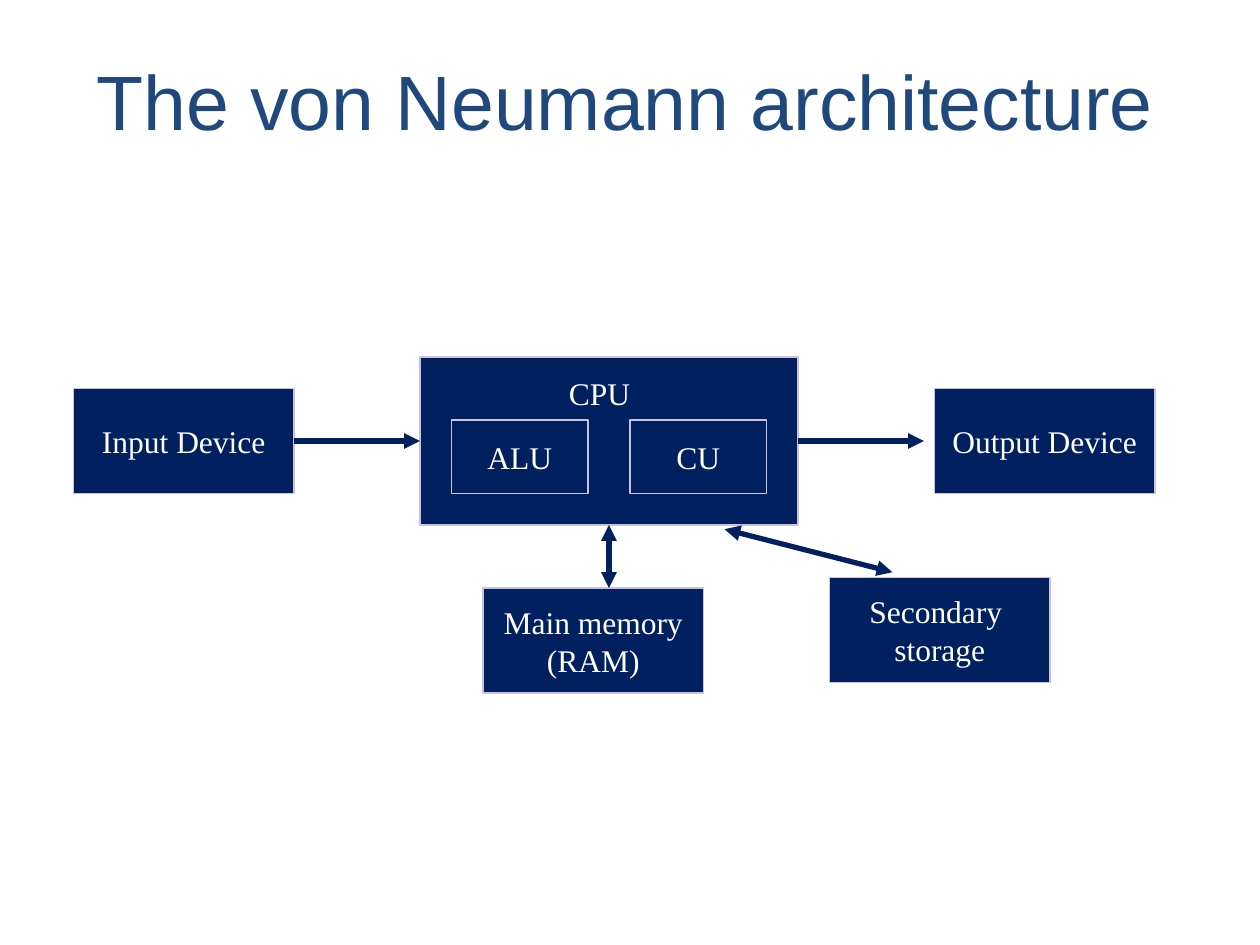
import pptx
import pptx.util
import pptx.dml.color
import pptx.enum.shapes
import pptx.enum.text
import pptx.oxml.ns
import lxml.etree

HUES = {"navy": "002060", "lilac": "CCC1DA", "blue": "1F497D", "white": "FFFFFF"}
RGB = pptx.dml.color.RGBColor.from_string
ALIGN = pptx.enum.text.PP_ALIGN
ANCHOR = pptx.enum.text.MSO_ANCHOR

deck = pptx.Presentation()
deck.slide_width = pptx.util.Inches(10)
deck.slide_height = pptx.util.Inches(7.5)
slide = deck.slides.add_slide(deck.slide_layouts[6])
COLS = 120
unit = deck.slide_width / COLS


def write(text, spot, fill=None, edge=None, size=18, font="Times New Roman",
          hue="white", align=ALIGN.CENTER, anchor=ANCHOR.MIDDLE, wrap=False):
    place = [round(n * unit) for n in spot]
    if fill:
        shape = slide.shapes.add_shape(
            pptx.enum.shapes.MSO_SHAPE.RECTANGLE, *place)
        shape.shadow.inherit = False
        shape.fill.solid()
        shape.fill.fore_color.rgb = RGB(HUES[fill])
        if edge:
            shape.line.color.rgb = RGB(HUES[edge])
            shape.line.width = pptx.util.Pt(0.75)
        else:
            shape.line.fill.background()
    else:
        shape = slide.shapes.add_textbox(*place)
    frame = shape.text_frame
    frame.word_wrap = wrap
    frame.vertical_anchor = anchor
    frame.text = text
    for para in frame.paragraphs:
        para.alignment = align
        para.font.size = pptx.util.Pt(size)
        para.font.name = font
        para.font.color.rgb = RGB(HUES[hue])


write("The von Neumann architecture", (8, 3, 107, 13), size=44, font="Arial",
      hue="blue", align=ALIGN.LEFT, wrap=True)

big = (21, 10)
small = (13, 7)
boxes = [
    ("", 40, 34, (36, 16)),
    ("Input Device", 7, 37, big),
    ("Output Device", 89, 37, big),
    ("ALU", 43, 40, small),
    ("CU", 60, 40, small),
    ("Main memory\n(RAM)", 46, 56, big),
    ("Secondary \nstorage", 79, 55, big),
]
for text, col, row, size in boxes:
    write(text, (col, row, *size), fill="navy", edge="lilac")
write("CPU", (53, 35, 8.2, 4.8), fill="navy", align=ALIGN.LEFT,
      anchor=ANCHOR.TOP)

links = [
    (28, 42, 40, 42, ["tailEnd"]),
    (76, 42, 88, 42, ["tailEnd"]),
    (58, 50, 58, 56, ["headEnd", "tailEnd"]),
    (69, 50.4, 85, 54.5, ["headEnd", "tailEnd"]),
]
for *ends, tips in links:
    link = slide.shapes.add_connector(
        pptx.enum.shapes.MSO_CONNECTOR.STRAIGHT, *[round(n * unit) for n in ends])
    link.line.color.rgb = RGB(HUES["navy"])
    link.line.width = pptx.util.Pt(3)
    for tip in tips:
        lxml.etree.SubElement(link.line._get_or_add_ln(),
                              pptx.oxml.ns.qn("a:" + tip), type="triangle")
    lxml.etree.SubElement(link._element.spPr, pptx.oxml.ns.qn("a:effectLst"))

deck.save("out.pptx")
